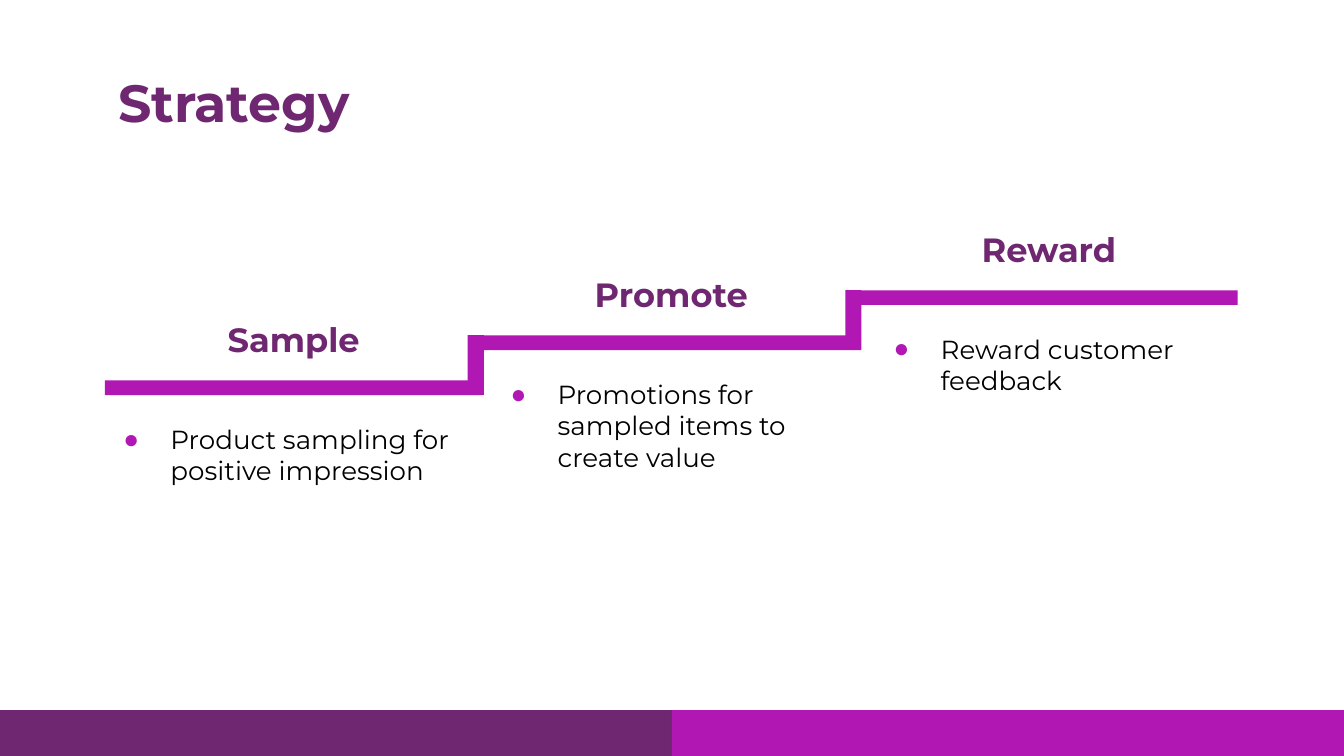
from dataclasses import dataclass

from lxml.etree import SubElement
from pptx import Presentation
from pptx.dml.color import RGBColor as Color
from pptx.enum.shapes import MSO_SHAPE as Shape
from pptx.enum.text import MSO_ANCHOR as Anchor, MSO_AUTO_SIZE as Fit, PP_ALIGN as Align
from pptx.oxml.ns import qn
from pptx.util import Inches, Pt


@dataclass(frozen=True)
class Theme:
    font: str = "Montserrat"
    mark: str = "Arial"
    dark: str = "6E2770"
    bright: str = "B017B3"
    ink: str = "000000"
    title: int = 28
    head: int = 18
    body: int = 14


THEME = Theme()
WIDE = 10
HIGH = WIDE * 9 / 16
LEFT, COL = 0.78, 2.81      # left margin and column width
BASE, RISE = 2.83, 0.67 / 2  # top of the lowest step and height of a step
THICK = 0.11
LAP = 0.01                  # overlap that hides the seam between bars
BAND = 0.34

# Heading, bullet text, shift of the bullet box from its column
STEPS = [
    ("Sample", "Product sampling for positive impression", -0.11),
    ("Promote", "Promotions for sampled items to create value", -0.04),
    ("Reward", "Reward customer feedback", 0),
]


def add_bar(slide, x, y, w, h, color):
    bar = slide.shapes.add_shape(Shape.RECTANGLE, Inches(x), Inches(y), Inches(w), Inches(h))
    bar.shadow.inherit = False
    bar.fill.solid()
    bar.fill.fore_color.rgb = Color.from_string(color)
    bar.line.fill.background()


def set_text(shape, text, size, color, bold=False, align=Align.LEFT):
    """Fill a shape with one top-anchored paragraph and return the paragraph."""
    frame = shape.text_frame
    frame.word_wrap = True
    frame.auto_size = Fit.NONE
    frame.vertical_anchor = Anchor.TOP
    frame.margin_left = frame.margin_right = Inches(0.1)
    frame.margin_top = frame.margin_bottom = Inches(0.1)
    frame.text = text
    para = frame.paragraphs[0]
    para.alignment = align
    font = para.font
    font.name, font.size, font.bold = THEME.font, Pt(size), bold
    font.color.rgb = Color.from_string(color)
    return para


def add_box(slide, x, y, w, h):
    return slide.shapes.add_textbox(Inches(x), Inches(y), Inches(w), Inches(h))


def add_bullet(para):
    props = para._p.get_or_add_pPr()
    props.set("marL", str(Inches(0.5)))
    props.set("indent", str(Inches(-0.35)))
    tint = SubElement(props, qn("a:buClr"))
    SubElement(tint, qn("a:srgbClr"), val=THEME.bright)
    SubElement(props, qn("a:buFont"), typeface=THEME.mark)
    SubElement(props, qn("a:buChar"), char="●")
    # The default run settings must follow the bullet settings
    props.append(props.find(qn("a:defRPr")))


def add_title(slide, text):
    title = slide.shapes.title
    title.left, title.top = Inches(LEFT), Inches(0.42)
    title.width, title.height = Inches(3 * COL), Inches(1.02)
    set_text(title, text, THEME.title, THEME.dark, bold=True)


def add_step(slide, row, head, body, shift):
    x, y = LEFT + row * COL, BASE - row * RISE
    add_bar(slide, x, y, COL, THICK, THEME.bright)
    if row < len(STEPS) - 1:
        add_bar(slide, x + COL - THICK, y - RISE, THICK + LAP, RISE + THICK, THEME.bright)

    label = add_box(slide, x + COL * 0.2, y - 0.56, COL * 0.6, 0.45)
    set_text(label, head, THEME.head, THEME.dark, bold=True, align=Align.CENTER)

    note = add_box(slide, x + shift, y + 0.22, COL, 1.57)
    add_bullet(set_text(note, body, THEME.body, THEME.ink))


def add_band(slide):
    half = WIDE / 2
    for col, color in enumerate((THEME.dark, THEME.bright)):
        add_bar(slide, col * half, HIGH - BAND, half, BAND, color)


def main():
    deck = Presentation()
    deck.slide_width, deck.slide_height = Inches(WIDE), Inches(HIGH)
    slide = deck.slides.add_slide(deck.slide_layouts[5])
    add_title(slide, "Strategy")
    for row, step in enumerate(STEPS):
        add_step(slide, row, *step)
    add_band(slide)
    deck.save("out.pptx")


if __name__ == "__main__":
    main()
